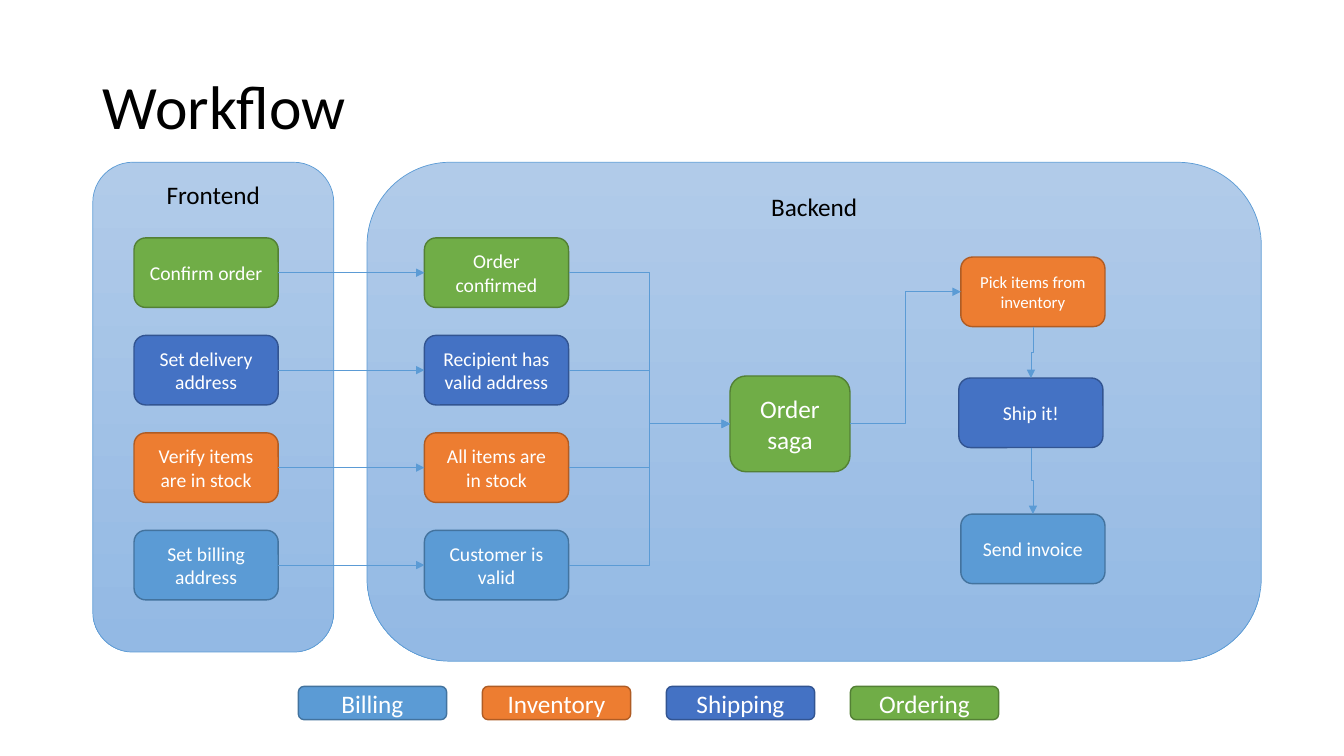
"""Build the Workflow slide: frontend steps, backend order saga and service legend."""
import pptx
import pptx.dml.color
import pptx.enum.shapes
import pptx.enum.text
import pptx.oxml
import pptx.util

Inches, Pt = pptx.util.Inches, pptx.util.Pt
ALIGN = pptx.enum.text.PP_ALIGN
ANCHOR = pptx.enum.text.MSO_ANCHOR
ROUND = pptx.enum.shapes.MSO_SHAPE.ROUNDED_RECTANGLE
ELBOW = pptx.enum.shapes.MSO_CONNECTOR.ELBOW
TOP, LEFT, BOTTOM, RIGHT = range(4)
NS = 'xmlns:a="http://schemas.openxmlformats.org/drawingml/2006/main"'
BLUE = "5B9BD5"
TEAMS = {
    "Billing": (BLUE, "43739E"),
    "Inventory": ("ED7D31", "AF5C24"),
    "Shipping": ("4472C4", "325491"),
    "Ordering": ("70AD47", "538035"),
}

rgb = pptx.dml.color.RGBColor.from_string

deck = pptx.Presentation()
deck.slide_width, deck.slide_height = Inches(13.33), Inches(7.5)
slide = deck.slides.add_slide(deck.slide_layouts[5])
shapes = slide.shapes


def write(shape, text, size, color, align, anchor):
    frame = shape.text_frame
    frame.word_wrap = True
    frame.vertical_anchor = anchor
    para = frame.paragraphs[0]
    para.alignment = align
    run = para.add_run()
    run.text = text
    run.font.size = Pt(size)
    run.font.name = "Calibri"
    run.font.color.rgb = rgb(color)
    return para


def add_box(text, team, x, y, w=1.43, h=0.69, size=14):
    box = shapes.add_shape(ROUND, Inches(x), Inches(y), Inches(w), Inches(h))
    box.shadow.inherit = False
    fill, line = TEAMS[team]
    box.fill.solid()
    box.fill.fore_color.rgb = rgb(fill)
    box.line.color.rgb = rgb(line)
    box.line.width = Pt(1)
    write(box, text, size, "FFFFFF", ALIGN.CENTER, ANCHOR.MIDDLE)
    return box


title = shapes.title
title.left, title.top = Inches(0.92), Inches(0.36)
title.width, title.height = Inches(11.5), Inches(1.45)
para = write(title, "Workflow", 44, "000000", ALIGN.LEFT, ANCHOR.MIDDLE)
para.line_spacing = 0.9

for text, x, w, h in [("Backend", 3.64, 8.87, 4.95), ("Frontend", 0.92, 2.39, 4.86)]:
    panel = shapes.add_shape(ROUND, Inches(x), Inches(1.61), Inches(w), Inches(h))
    panel.shadow.inherit = False
    panel.fill.gradient()
    panel.fill.gradient_angle = 270
    for stop, color in zip(panel.fill.gradient_stops, ["B1CBE9", "93B9E4"]):
        stop.color.rgb = rgb(color)
    panel.line.color.rgb = rgb(BLUE)
    panel.line.width = Pt(0.5)
    write(panel, text, 18, "000000", ALIGN.CENTER, ANCHOR.TOP)

saga = add_box("Order saga", "Ordering", 7.24, 3.73, 1.19, 0.95, 18)
pick = add_box("Pick items from inventory", "Inventory", 9.53, 2.55, size=12)
ship = add_box("Ship it!", "Shipping", 9.51, 3.75)
bill = add_box("Send invoice", "Billing", 9.53, 5.1)

links = [(saga, RIGHT, pick, LEFT), (pick, BOTTOM, ship, TOP), (ship, BOTTOM, bill, TOP)]
steps = [
    ("Confirm order", "Order confirmed", "Ordering"),
    ("Set delivery address", "Recipient has valid address", "Shipping"),
    ("Verify items are in stock", "All items are in stock", "Inventory"),
    ("Set billing address", "Customer is valid", "Billing"),
]
for row, (step, event, team) in enumerate(steps):
    y = 2.36 + 0.967 * row
    front = add_box(step, team, 1.33, y)
    back = add_box(event, team, 4.21, y)
    links += [(front, RIGHT, back, LEFT), (back, RIGHT, saga, LEFT)]

for start, out, end, into in links:
    link = shapes.add_connector(ELBOW, 0, 0, 0, 0)
    link.begin_connect(start, out)
    link.end_connect(end, into)
    link.line.color.rgb = rgb(BLUE)
    link.line.width = Pt(0.5)
    props = link._element.spPr
    if out == BOTTOM:
        shift, drop = link.end_x - link.begin_x, link.height
        mid_x = (link.begin_x + link.end_x) // 2
        mid_y = (link.begin_y + link.end_y) // 2
        link.left, link.top = mid_x - drop // 2, mid_y - abs(shift) // 2
        link.width, link.height = drop, abs(shift)
        props.xfrm.set("rot", "5400000")
        props.xfrm.set("flipH", "0")
        props.xfrm.set("flipV", "1" if shift > 0 else "0")
    link.line._get_or_add_ln().append(pptx.oxml.parse_xml(f'<a:tailEnd {NS} type="triangle"/>'))
    props.append(pptx.oxml.parse_xml(f"<a:effectLst {NS}/>"))

for spot, team in enumerate(TEAMS):
    add_box(team, team, 2.96 + 1.825 * spot, 6.81, 1.47, 0.33, 18)

deck.save("out.pptx")
